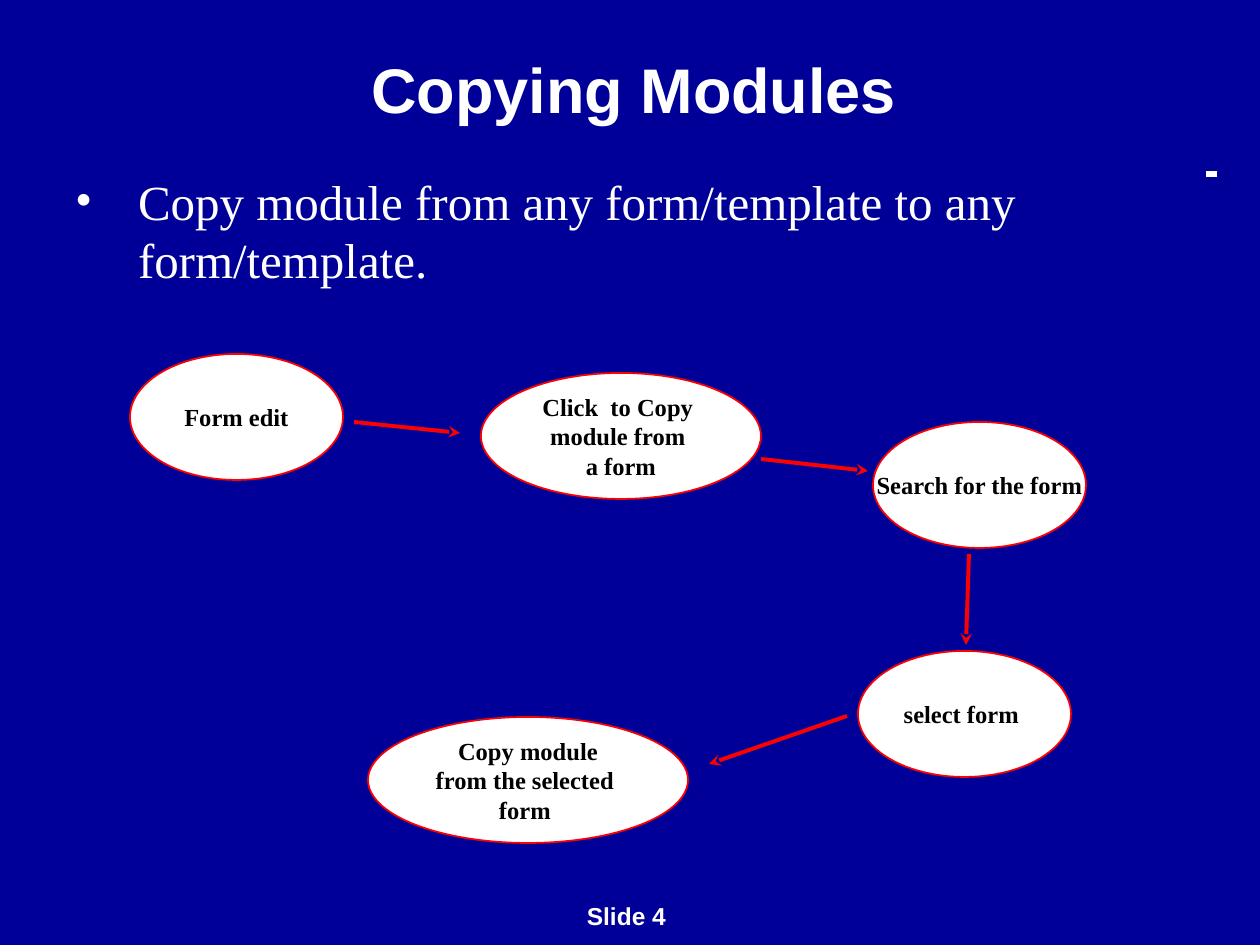
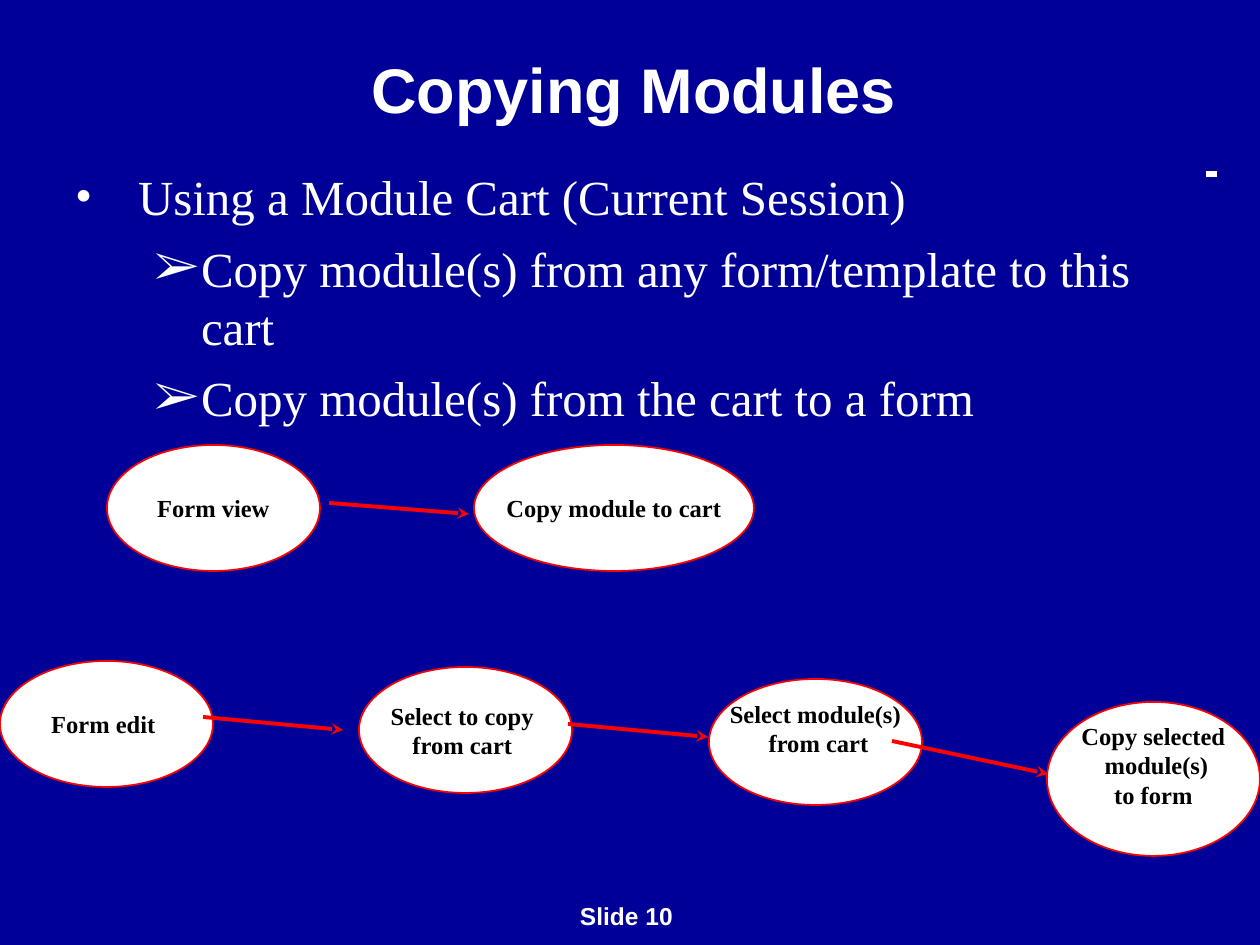
from lxml import etree
from pptx import Presentation
from pptx import util as u
from pptx.dml.color import RGBColor
from pptx.enum import shapes, text
from pptx.oxml import ns

NAVY = RGBColor(0x00, 0x00, 0x99)
WHITE = RGBColor(0xFF, 0xFF, 0xFF)
BLACK = RGBColor(0x00, 0x00, 0x00)
RED = RGBColor(0xFF, 0x00, 0x00)
CRIMSON = RGBColor(0xCF, 0x0E, 0x30)

PX = 914400 / 126
SLIDE_SIZE = (1260, 945)
OVAL_WIDTH, OVAL_HEIGHT = 213, 126
STEP_LINE = 28  # height of one line of step text

TITLE_FONT = dict(name="Arial", size=u.Pt(36), bold=True)
FOOTER_FONT = dict(name="Arial", size=u.Pt(14), bold=True)
LIST_FONT = dict(name="Times New Roman", size=u.Pt(28), bold=False)
STEP_FONT = dict(name="Times New Roman", size=u.Pt(14), bold=True)

# Per list level: bullet, text indent, hanging distance
LEVELS = [("•", 63, 63), ("➢", 126, 47)]


def px(length):
    return round(length * PX)


def set_format(target, values):
    for name, value in values.items():
        setattr(target, name, value)


def add_element(parent, tag, **attributes):
    return etree.SubElement(parent, ns.qn(tag), attributes)


class Deck:
    def __init__(self):
        self.prs = Presentation()
        self.prs.slide_width, self.prs.slide_height = map(px, SLIDE_SIZE)
        backdrop = self.prs.slide_master.background.fill
        backdrop.solid()
        backdrop.fore_color.rgb = NAVY
        self.slide = None

    def start_slide(self, title, footer):
        self.slide = self.prs.slides.add_slide(self.prs.slide_layouts[1])
        self.title(title)
        self.band()
        self.footer(footer)

    def place(self, shape, left, top, width, height):
        set_format(shape, dict(left=px(left), top=px(top),
                               width=px(width), height=px(height)))

    def frame(self, shape, anchor, wrap=True, top=6, bottom=6):
        frame = shape.text_frame
        set_format(frame, dict(auto_size=text.MSO_AUTO_SIZE.NONE,
                               word_wrap=wrap, vertical_anchor=anchor,
                               margin_left=px(13), margin_right=px(13),
                               margin_top=px(top), margin_bottom=px(bottom)))
        return frame

    def centred_lines(self, frame, lines, font, color):
        """Fill the frame with centred lines, one paragraph each."""
        frame.text = "\n".join(lines)
        for paragraph in frame.paragraphs:
            paragraph.alignment = text.PP_ALIGN.CENTER
            set_format(paragraph.font, font)
            paragraph.font.color.rgb = color

    def title(self, wording):
        title = self.slide.shapes.title
        self.place(title, 67, 0, 1134, 176)
        frame = self.frame(title, text.MSO_ANCHOR.MIDDLE)
        self.centred_lines(frame, [wording], TITLE_FONT, WHITE)

    def band(self):
        """Draw the gradient rule behind the title and the list."""
        band = self.slide.shapes.add_shape(
            shapes.MSO_SHAPE.RECTANGLE, *map(px, (73, 171, 1144, 6)))
        band.shadow.inherit = False
        band.line.fill.background()
        band.fill.gradient()
        band.fill.gradient_angle = 180
        for stop, color in zip(band.fill.gradient_stops, (WHITE, CRIMSON)):
            stop.color.rgb = color
        self.slide.shapes.title.element.addprevious(band.element)

    def footer(self, wording):
        footer = self.slide.shapes.add_textbox(*map(px, (532, 895, 189, 43)))
        frame = self.frame(footer, text.MSO_ANCHOR.TOP)
        self.centred_lines(frame, [wording], FOOTER_FONT, WHITE)

    def bullets(self, top, items):
        """Fill the body placeholder with (level, wording) items."""
        body = self.slide.placeholders[1]
        self.place(body, 62, top, 1144, 702)
        body.fill.solid()
        body.fill.fore_color.rgb = NAVY
        frame = self.frame(body, text.MSO_ANCHOR.TOP, top=8)
        frame.text = "\n".join(wording for _, wording in items)
        for index, (level, _) in enumerate(items):
            paragraph = frame.paragraphs[index]
            mark, indent, hang = LEVELS[level]
            paragraph.level = level
            props = paragraph._p.get_or_add_pPr()
            props.set("marL", str(px(indent)))
            props.set("indent", str(-px(hang)))
            mark_color = add_element(props, "a:buClr")
            add_element(mark_color, "a:srgbClr", val=str(WHITE))
            add_element(props, "a:buFont", typeface=LIST_FONT["name"])
            add_element(props, "a:buChar", char=mark)
            paragraph.space_before = u.Pt(7 if index else 0)
            set_format(paragraph.font, LIST_FONT)
            paragraph.font.color.rgb = WHITE

    def step(self, left, top, *lines, width=OVAL_WIDTH, height=OVAL_HEIGHT,
             lift=0):
        """Draw an oval step; lift reserves room under its text."""
        oval = self.slide.shapes.add_shape(
            shapes.MSO_SHAPE.OVAL, *map(px, (left, top, width, height)))
        oval.shadow.inherit = False
        oval.fill.solid()
        oval.fill.fore_color.rgb = WHITE
        oval.line.color.rgb = RED
        oval.line.width = u.Pt(1)
        frame = self.frame(oval, text.MSO_ANCHOR.MIDDLE, wrap=False,
                           bottom=6 + lift)
        self.centred_lines(frame, lines, STEP_FONT, BLACK)

    def arrow(self, *ends):
        arrow = self.slide.shapes.add_connector(
            shapes.MSO_CONNECTOR.STRAIGHT, *map(px, ends))
        arrow.line.color.rgb = RED
        arrow.line.width = u.Pt(2.25)
        outline = arrow.element.spPr.find(ns.qn("a:ln"))
        add_element(outline, "a:tailEnd", type="stealth")
        add_element(arrow.element.spPr, "a:effectLst")


def build_direct_copy(deck):
    deck.start_slide("Copying Modules", "Slide 4")
    deck.bullets(163, [
        (0, "Copy module from any form/template to any form/template.")])
    deck.step(130, 354, "Form edit")
    deck.step(481, 373, "Click  to Copy ", "module from ", "a form", width=280)
    deck.step(873, 422, "Search for the form")
    deck.step(858, 651, "select form ")
    deck.step(368, 717, "Copy module", "from the selected ", "form ", width=320)
    for ends in [(354, 422, 460, 433), (761, 459, 868, 471),
                 (969, 554, 966, 645), (847, 716, 709, 764)]:
        deck.arrow(*ends)


def build_cart_copy(deck):
    deck.start_slide("Copying Modules", "Slide 10")
    deck.bullets(159, [
        (0, "Using a Module Cart (Current Session)"),
        (1, "Copy module(s) from any form/template to this cart"),
        (1, "Copy module(s) from the cart to a form")])
    deck.step(107, 445, "Form view")
    deck.step(474, 445, "Copy module to cart", width=280)
    deck.step(0, 661, "Form edit ")
    deck.step(359, 667, "Select to copy ", "from cart ")
    deck.step(709, 679, "Select module(s)", " from cart", lift=STEP_LINE)
    deck.step(1047, 702, "Copy selected", " module(s)", "to form",
              height=154, lift=STEP_LINE)
    for ends in [(329, 503, 469, 514), (203, 717, 343, 730),
                 (568, 724, 708, 737), (892, 741, 1048, 774)]:
        deck.arrow(*ends)


def main():
    deck = Deck()
    build_direct_copy(deck)
    build_cart_copy(deck)
    deck.prs.save("out.pptx")


if __name__ == "__main__":
    main()
